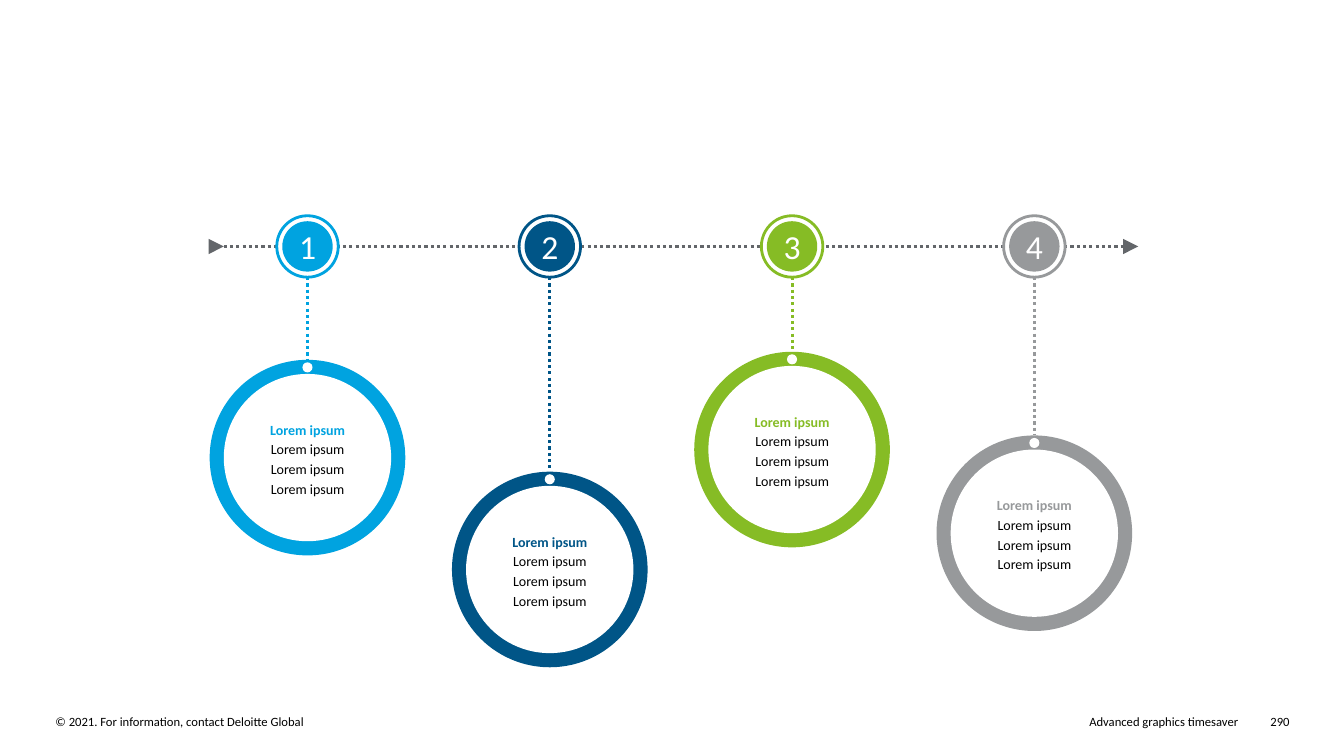
from dataclasses import dataclass

from lxml import etree
from pptx import Presentation, util as u
from pptx.dml.color import RGBColor
from pptx.enum import dml, shapes, text
from pptx.oxml.ns import qn


@dataclass(frozen=True)
class Theme:
    font: str = "Calibri"
    ink: str = "000000"
    paper: str = "FFFFFF"
    axis: str = "63666A"
    number_size: float = 24
    body_size: float = 10
    footer_size: float = 9
    dotted_width: float = 2.25
    badge_width: float = 2


THEME = Theme()
WIDTH, HEIGHT = 13.33, 7.5

# number, colour, top of the ring, heading, lines
STEPS = [
    ("1", "00A3E0", 3.57, "Lorem ipsum", ["Lorem ipsum"] * 3),
    ("2", "005587", 4.68, "Lorem ipsum", ["Lorem ipsum"] * 3),
    ("3", "86BC25", 3.49, "Lorem ipsum", ["Lorem ipsum"] * 3),
    ("4", "97999B", 4.32, "Lorem ipsum", ["Lorem ipsum"] * 3),
]
# text, left, width, alignment
FOOTERS = [
    ("© 2021. For information, contact Deloitte Global", 0.55, 5.86, text.PP_ALIGN.LEFT),
    ("Advanced graphics timesaver", 6.93, 5.35, text.PP_ALIGN.RIGHT),
    ("290", 12.45, 0.34, text.PP_ALIGN.RIGHT),
]
FOOTER_TOP, FOOTER_HEIGHT = 7.08, 0.15

FIRST_COLUMN, COLUMN_STEP = 3.05, 2.403
AXIS_Y, AXIS_START, AXIS_END = 2.445, 2.22, 11.14
ARROW = 0.15
BADGE, BADGE_CORE = 0.61, 0.5
NUMBER_WIDTH, NUMBER_HEIGHT = 0.32, 0.4
RING, RING_HOLE = 1.94, 1.66
PIN, PIN_DROP = 0.1, 0.075
BODY_WIDTH, BODY_HEIGHT, BODY_DROP = 1.35, 0.76, 0.02


def colour(value):
    return RGBColor.from_string(value)


def add_centred_shape(slide, kind, x, y, size, fill, outline=None):
    shape = slide.shapes.add_shape(
        kind, u.Inches(x - size / 2), u.Inches(y - size / 2), u.Inches(size), u.Inches(size))
    shape.shadow.inherit = False
    shape.fill.solid()
    shape.fill.fore_color.rgb = colour(fill)
    if outline:
        shape.line.color.rgb = colour(outline)
        shape.line.width = u.Pt(THEME.badge_width)
    else:
        shape.line.fill.background()
    return shape


def add_circle(slide, x, y, size, fill, outline=None):
    return add_centred_shape(slide, shapes.MSO_SHAPE.OVAL, x, y, size, fill, outline)


def add_dotted_line(slide, x1, y1, x2, y2, ink):
    line = slide.shapes.add_connector(
        shapes.MSO_CONNECTOR.STRAIGHT, *(u.Inches(v) for v in (x1, y1, x2, y2)))
    line.line.color.rgb = colour(ink)
    line.line.width = u.Pt(THEME.dotted_width)
    line.line.dash_style = dml.MSO_LINE.ROUND_DOT
    etree.SubElement(line._element.spPr, qn("a:effectLst"))


def add_text(slide, box, lines, size, align):
    """Lines are (text, colour, bold) tuples, one paragraph each."""
    frame = slide.shapes.add_textbox(*(u.Inches(v) for v in box)).text_frame
    frame.word_wrap = True
    frame.margin_left = frame.margin_right = frame.margin_top = frame.margin_bottom = 0
    for index, (words, ink, bold) in enumerate(lines):
        paragraph = frame.add_paragraph() if index else frame.paragraphs[0]
        paragraph.alignment = align
        if index:
            paragraph.space_before = u.Pt(2)
        run = paragraph.add_run()
        run.text = words
        run.font.name = THEME.font
        run.font.size = u.Pt(size)
        run.font.bold = bold
        run.font.color.rgb = colour(ink)


def add_centred_text(slide, x, y, width, height, lines, size):
    box = (x - width / 2, y - height / 2, width, height)
    add_text(slide, box, lines, size, text.PP_ALIGN.CENTER)


def add_step(slide, x, step):
    number, ink, ring_top, heading, details = step
    ring_y = ring_top + RING / 2
    add_dotted_line(slide, x, AXIS_Y + BADGE / 2, x, ring_top, ink)
    add_circle(slide, x, AXIS_Y, BADGE, THEME.paper, ink)
    add_circle(slide, x, AXIS_Y, BADGE_CORE, ink)
    add_centred_text(slide, x, AXIS_Y, NUMBER_WIDTH, NUMBER_HEIGHT,
                     [(number, THEME.paper, False)], THEME.number_size)
    add_circle(slide, x, ring_y, RING, ink)
    add_circle(slide, x, ring_y, RING_HOLE, THEME.paper)
    add_circle(slide, x, ring_top + PIN_DROP, PIN, THEME.paper)
    lines = [(heading, ink, True)] + [(detail, THEME.ink, False) for detail in details]
    add_centred_text(slide, x, ring_y + BODY_DROP, BODY_WIDTH, BODY_HEIGHT,
                     lines, THEME.body_size)


def main():
    presentation = Presentation()
    presentation.slide_width = u.Inches(WIDTH)
    presentation.slide_height = u.Inches(HEIGHT)
    slide = presentation.slides.add_slide(presentation.slide_layouts[6])

    for words, left, width, align in FOOTERS:
        add_text(slide, (left, FOOTER_TOP, width, FOOTER_HEIGHT),
                 [(words, THEME.ink, False)], THEME.footer_size, align)

    add_dotted_line(slide, AXIS_START, AXIS_Y, AXIS_END, AXIS_Y, THEME.axis)
    for index, step in enumerate(STEPS):
        add_step(slide, FIRST_COLUMN + index * COLUMN_STEP, step)
    for x in (AXIS_START - ARROW / 2, AXIS_END + ARROW / 2):
        arrow = add_centred_shape(
            slide, shapes.MSO_SHAPE.ISOSCELES_TRIANGLE, x, AXIS_Y, ARROW, THEME.axis)
        arrow.rotation = 90

    presentation.save("out.pptx")


if __name__ == "__main__":
    main()
